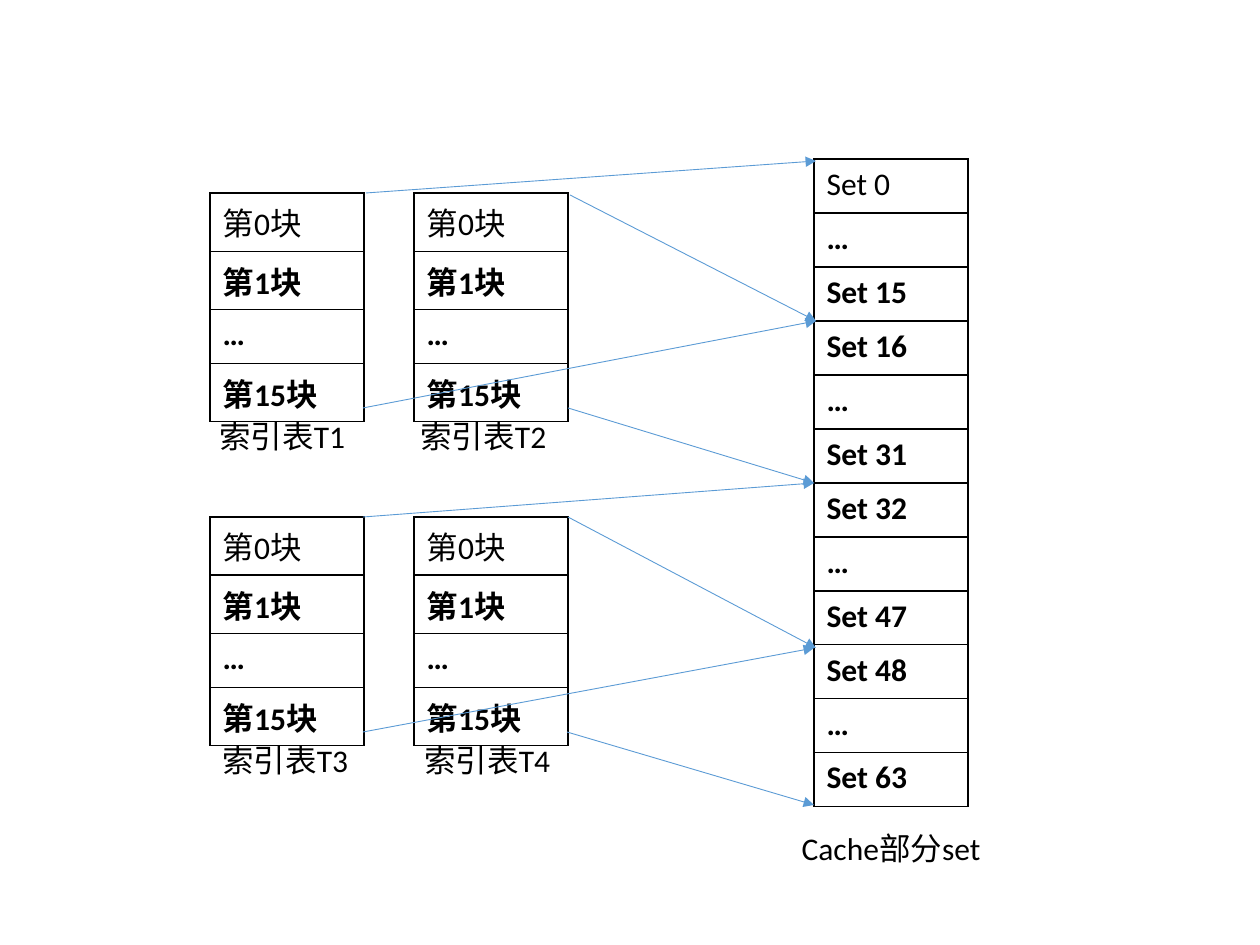
from dataclasses import dataclass

from lxml.etree import SubElement
from pptx import Presentation
from pptx.dml.color import RGBColor
from pptx.enum.shapes import MSO_CONNECTOR
from pptx.enum.text import MSO_AUTO_SIZE, PP_ALIGN
from pptx.oxml.ns import qn
from pptx.util import Emu, Pt

EMU_PER_PX = 914400 / 126
FONT, SIZE = "Calibri", 18
BLACK, WHITE, BLUE = "000000", "FFFFFF", "5B9BD5"
COL_W, ROW_H = 154, 54


@dataclass
class Stack:
    """A one-column table; the first row is plain, the others are bold."""
    x: int
    y: int
    rows: list[str]


@dataclass
class Caption:
    x: int
    y: int
    w: int
    text: str
    centred: bool = False


@dataclass
class Arrow:
    x1: int
    y1: int
    x2: int
    y2: int


def px(n: int) -> Emu:
    return Emu(round(n * EMU_PER_PX))


def rgb(colour: str) -> RGBColor:
    return RGBColor.from_string(colour)


def style_run(r, bold: bool = False) -> None:
    r.font.name, r.font.size, r.font.bold = FONT, Pt(SIZE), bold
    r.font.color.rgb = rgb(BLACK)


def add_borders(cell) -> None:
    props = cell._tc.get_or_add_tcPr()
    for i, side in enumerate(("a:lnL", "a:lnR", "a:lnT", "a:lnB")):
        ln = props.makeelement(qn(side), {"w": str(Pt(1))})
        fill = SubElement(ln, qn("a:solidFill"))
        SubElement(fill, qn("a:srgbClr"), val=BLACK)
        props.insert(i, ln)  # borders come before the fill


def draw_stack(s, stack: Stack) -> None:
    count = len(stack.rows)
    frame = s.shapes.add_table(count, 1, px(stack.x), px(stack.y),
                               px(COL_W), px(ROW_H * count))
    for i, text in enumerate(stack.rows):
        frame.table.rows[i].height = px(ROW_H)
        cell = frame.table.cell(i, 0)
        cell.text_frame.text = text
        style_run(cell.text_frame.paragraphs[0].runs[0], bold=i > 0)
        cell.fill.solid()
        cell.fill.fore_color.rgb = rgb(WHITE)
        add_borders(cell)


def draw_caption(s, cap: Caption) -> None:
    tf = s.shapes.add_textbox(px(cap.x), px(cap.y), px(cap.w), px(50)).text_frame
    tf.word_wrap = cap.centred
    tf.auto_size = MSO_AUTO_SIZE.SHAPE_TO_FIT_TEXT
    tf.text = cap.text
    p = tf.paragraphs[0]
    p.alignment = PP_ALIGN.CENTER if cap.centred else PP_ALIGN.LEFT
    style_run(p.runs[0])


def draw_arrow(s, a: Arrow) -> None:
    line = s.shapes.add_connector(MSO_CONNECTOR.STRAIGHT, px(a.x1), px(a.y1),
                                  px(a.x2), px(a.y2))
    line.line.color.rgb = rgb(BLUE)
    line.line.width = Pt(0.5)
    SubElement(line.line._get_or_add_ln(), qn("a:tailEnd"), type="triangle")
    SubElement(line._element.spPr, qn("a:effectLst"))


BLOCKS = ["第0块", "第1块", "…", "第15块"]
# Every index table maps to 16 consecutive sets
SETS = [text for first in range(0, 64, 16)
        for text in (f"Set {first}", "…", f"Set {first + 15}")]

STACKS = [Stack(x, y, BLOCKS) for y in (193, 517) for x in (210, 414)]
STACKS.append(Stack(814, 159, SETS))

CAPTIONS = [
    Caption(207, 411, 159, "索引表T1"),
    Caption(408, 411, 159, "索引表T2"),
    Caption(210, 735, 159, "索引表T3"),
    Caption(412, 735, 159, "索引表T4"),
    Caption(782, 823, 218, "Cache部分set", centred=True),
]

# Top and bottom of each index table to its range of sets
ARROWS = [
    Arrow(366, 193, 816, 161), Arrow(363, 408, 816, 321),
    Arrow(570, 195, 816, 321), Arrow(568, 408, 814, 483),
    Arrow(363, 517, 814, 483), Arrow(363, 732, 814, 648),
    Arrow(568, 517, 816, 648), Arrow(567, 732, 814, 805),
]


def main() -> None:
    prs = Presentation()
    prs.slide_width, prs.slide_height = px(1260), px(945)
    s = prs.slides.add_slide(prs.slide_layouts[6])
    for stack in STACKS:
        draw_stack(s, stack)
    for cap in CAPTIONS:
        draw_caption(s, cap)
    for arrow in ARROWS:
        draw_arrow(s, arrow)
    prs.save("out.pptx")


if __name__ == "__main__":
    main()
